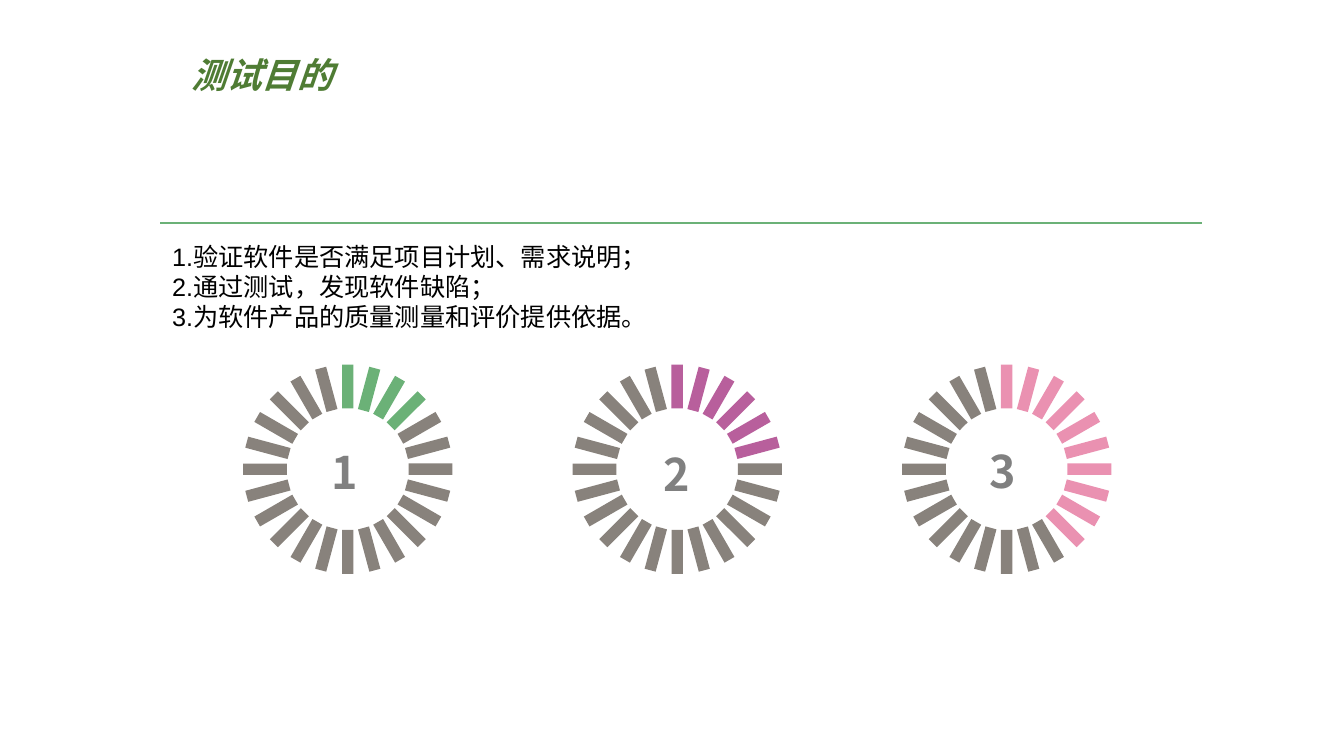
from math import cos, radians, sin

from lxml.etree import SubElement
from pptx import Presentation
from pptx.dml.color import RGBColor
from pptx.enum.shapes import MSO_CONNECTOR, MSO_SHAPE
from pptx.enum.text import MSO_ANCHOR, PP_ALIGN
from pptx.oxml.ns import qn
from pptx.util import Inches, Pt

BLACK = RGBColor(0x00, 0x00, 0x00)
MOSS = RGBColor(0x4F, 0x7C, 0x34)
GREEN = RGBColor(0x6B, 0xB1, 0x77)
PURPLE = RGBColor(0xB8, 0x5F, 0x9C)
PINK = RGBColor(0xEA, 0x91, 0xB1)
TAUPE = RGBColor(0x88, 0x82, 0x7C)
GRAY = RGBColor(0x80, 0x80, 0x80)

COLUMNS, ROWS = 80, 45
TICKS = 24
TICK_WIDTH, TICK_LENGTH, TICK_RADIUS = 0.68, 2.61, 4.92
RING_X, RING_Y, RING_PITCH = 20.7, 27.93, 19.61
RINGS = [
    ("1", GREEN, 4, 19.08, 26.16),
    ("2", PURPLE, 6, 38.82, 26.28),
    ("3", PINK, 10, 58.26, 26.1),
]
GOALS = [
    "1.验证软件是否满足项目计划、需求说明；",
    "2.通过测试，发现软件缺陷；",
    "3.为软件产品的质量测量和评价提供依据。",
]


class Deck:
    cjk_font = "Noto Sans CJK SC"

    def __init__(self):
        self.prs = Presentation()
        self.prs.slide_width = Inches(13.33)
        self.prs.slide_height = Inches(7.5)
        self.s = self.prs.slides.add_slide(self.prs.slide_layouts[6])

    def x(self, columns):
        return round(self.prs.slide_width * columns / COLUMNS)

    def y(self, rows):
        return round(self.prs.slide_height * rows / ROWS)

    def box(self, left, top, width, height):
        return self.x(left), self.y(top), self.x(width), self.y(height)

    def text(self, area, lines, size, color, font, bold=False, italic=False,
             align=PP_ALIGN.LEFT, anchor=MSO_ANCHOR.TOP, wrap=True, spacing=1.0):
        tf = self.s.shapes.add_textbox(*self.box(*area)).text_frame
        tf.word_wrap = wrap
        tf.vertical_anchor = anchor
        tf.text = "\n".join(lines)
        for p in tf.paragraphs:
            p.alignment = align
            p.line_spacing = spacing
            for r in p.runs:
                r.font.name = font
                r.font.size = Pt(size)
                r.font.bold = bold
                r.font.italic = italic
                r.font.color.rgb = color
                rpr = r.font._element
                rpr.set("lang", "zh-CN")
                SubElement(rpr, qn("a:ea")).set("typeface", self.cjk_font)

    def rule(self, left, right, row, color, width):
        line = self.s.shapes.add_connector(
            MSO_CONNECTOR.STRAIGHT, self.x(left), self.y(row), self.x(right), self.y(row))
        line.line.color.rgb = color
        line.line.width = Pt(width)
        SubElement(line._element.spPr, qn("a:effectLst"))

    def ring(self, center_x, center_y, color, filled):
        group = self.s.shapes.add_group_shape()
        for i in range(TICKS):
            degrees = i * 360 / TICKS
            mid_x = center_x + TICK_RADIUS * sin(radians(degrees))
            mid_y = center_y - TICK_RADIUS * cos(radians(degrees))
            sp = group.shapes.add_shape(MSO_SHAPE.RECTANGLE, *self.box(
                mid_x - TICK_WIDTH / 2, mid_y - TICK_LENGTH / 2, TICK_WIDTH, TICK_LENGTH))
            sp.rotation = degrees
            sp.shadow.inherit = False
            sp.fill.solid()
            sp.fill.fore_color.rgb = color if i < filled else TAUPE
            sp.line.fill.background()


def main():
    deck = Deck()
    for i, (_, color, filled, _, _) in enumerate(RINGS):
        deck.ring(RING_X + i * RING_PITCH, RING_Y, color, filled)
    deck.text((9.66, 14.04, 61.86, 6.06), GOALS, 18, BLACK, "Arial")
    deck.rule(9.54, 71.52, 13.26, GREEN, 1.25)
    for number, _, _, left, top in RINGS:
        deck.text((left, top, 2.88, 3.84), [number], 32, GRAY, deck.cjk_font,
                  bold=True, align=PP_ALIGN.CENTER, wrap=False)
    deck.text((10.8, 3.3, 69, 2.52), ["测试目的"], 25.2, MOSS, "Montserrat",
              bold=True, italic=True, anchor=MSO_ANCHOR.MIDDLE, spacing=0.9)
    deck.prs.save("out.pptx")


if __name__ == "__main__":
    main()
